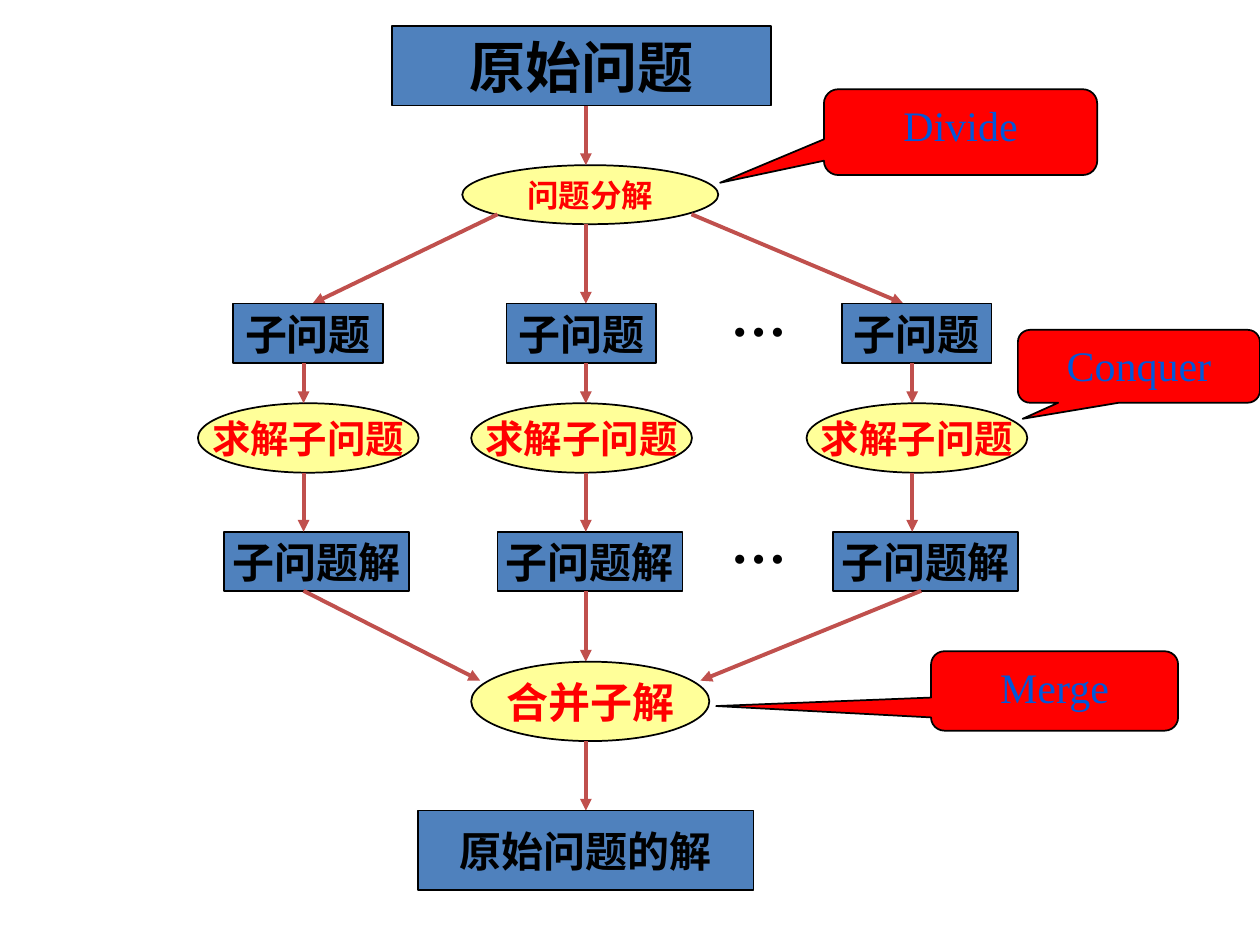
from lxml import etree
from pptx import Presentation
from pptx import util as u
from pptx.dml.color import RGBColor
from pptx.enum import shapes, text
from pptx.oxml.ns import qn

HUE = {"box": "4F81BD", "oval": "FFFF99", "call": "FF0000", "line": "C0504D",
       "ink": "000000", "red": "FF0000", "blue": "0058DA"}
KIND = shapes.MSO_SHAPE


def rgb(name):
    return RGBColor.from_string(HUE[name])


def write(frame, words, size=24, hue="ink", bold=True, wrap=False,
          anchor="MIDDLE", align="CENTER"):
    frame.word_wrap = wrap
    frame.vertical_anchor = text.MSO_ANCHOR[anchor]
    para = frame.paragraphs[0]
    para.alignment = text.PP_ALIGN[align]
    run = para.add_run()
    run.text = words
    run.font.name = "Times New Roman"
    run.font.size = u.Pt(size)
    run.font.bold = bold
    run.font.color.rgb = rgb(hue)


def block(slide, kind, fill, x, y, w, h, words, **form):
    part = slide.shapes.add_shape(kind, u.Cm(x), u.Cm(y), u.Cm(w), u.Cm(h))
    part.shadow.inherit = False
    part.fill.solid()
    part.fill.fore_color.rgb = rgb(fill)
    part.line.color.rgb = rgb("ink")
    part.line.width = u.Pt(1)
    write(part.text_frame, words, **form)
    return part


def box(slide, *place, **form):
    block(slide, KIND.RECTANGLE, "box", *place, **form)


def oval(slide, *place, **form):
    block(slide, KIND.OVAL, "oval", *place, hue="red", **form)


def callout(slide, *place, tip):
    part = block(slide, KIND.ROUNDED_RECTANGULAR_CALLOUT, "call", *place,
                 hue="blue", bold=False, wrap=True, anchor="TOP")
    part.adjustments[0], part.adjustments[1] = tip


def dots(slide, x, y):
    part = slide.shapes.add_textbox(u.Cm(x), u.Cm(y), u.Cm(1.65), u.Cm(1.63))
    write(part.text_frame, "…", size=32, anchor="TOP", align="LEFT")


def arrow(slide, x1, y1, x2, y2):
    part = slide.shapes.add_connector(
        shapes.MSO_CONNECTOR.STRAIGHT, u.Cm(x1), u.Cm(y1), u.Cm(x2), u.Cm(y2))
    part.line.color.rgb = rgb("line")
    part.line.width = u.Pt(2.25)
    etree.SubElement(part.line._get_or_add_ln(), qn("a:tailEnd"), type="triangle")
    etree.SubElement(part._element.spPr, qn("a:effectLst"))


def divide(slide, x, y):
    # Whole problem, split into parts
    box(slide, x, y, 7.65, 1.6, "原始问题", size=32)
    oval(slide, x + 1.42, y + 2.8, 5.16, 1.19, "问题分解", size=18)
    arrow(slide, x + 3.91, y + 1.6, x + 3.91, y + 2.8)
    # Arrows fan out to the columns
    for x1, y1, x2 in [(2.13, 3.79, -1.6), (3.91, 3.99, 3.91), (6.04, 3.79, 10.31)]:
        arrow(slide, x + x1, y + y1, x + x2, y + 5.59)
    callout(slide, x + 8.71, y + 1.27, 5.51, 1.73, "Divide", tip=(-0.88, 0.59))


def column(slide, x, y, mid):
    # Subproblem, its solving step and its solution
    box(slide, x + 0.71, y, 3.02, 1.2, "子问题")
    oval(slide, x, y + 2.01, 4.45, 1.4, "求解子问题", size=22)
    box(slide, x + 0.53, y + 4.6, 3.73, 1.2, "子问题解")
    for start, end in [(1.2, 2.01), (3.41, 4.6)]:
        arrow(slide, x + mid, y + start, x + mid, y + end)


def conquer(slide, x, y):
    for left, mid in [(0, 2.13), (5.51, 2.31), (12.27, 2.13)]:
        column(slide, x + left, y, mid)
    for top in (-0.58, 3.99):
        dots(slide, x + 10.49, y + top)
    callout(slide, x + 16.53, y + 0.53, 4.88, 1.47, "Conquer", tip=(-0.48, 0.72))


def merge(slide, x, y):
    # Arrows gather from the columns
    for x1, x2, y2 in [(-2.31, 1.25, 0.38), (3.38, 3.38, 0), (10.14, 5.69, 0.38)]:
        arrow(slide, x + x1, y - 1.43, x + x2, y + y2)
    # Joined parts, then the final answer
    oval(slide, x + 1.07, y, 4.8, 1.6, "合并子解")
    arrow(slide, x + 3.38, y + 1.6, x + 3.38, y + 3)
    box(slide, x, y + 3, 6.76, 1.6, "原始问题的解")
    callout(slide, x + 10.34, y - 0.21, 4.98, 1.6, "Merge", tip=(-1.37, 0.19))


def main():
    deck = Presentation()
    deck.slide_width, deck.slide_height = u.Cm(25.4), u.Cm(19.05)
    slide = deck.slides.add_slide(deck.slide_layouts[6])
    divide(slide, 7.9, 0.53)
    conquer(slide, 3.99, 6.12)
    merge(slide, 8.43, 13.34)
    deck.save("out.pptx")


if __name__ == "__main__":
    main()
